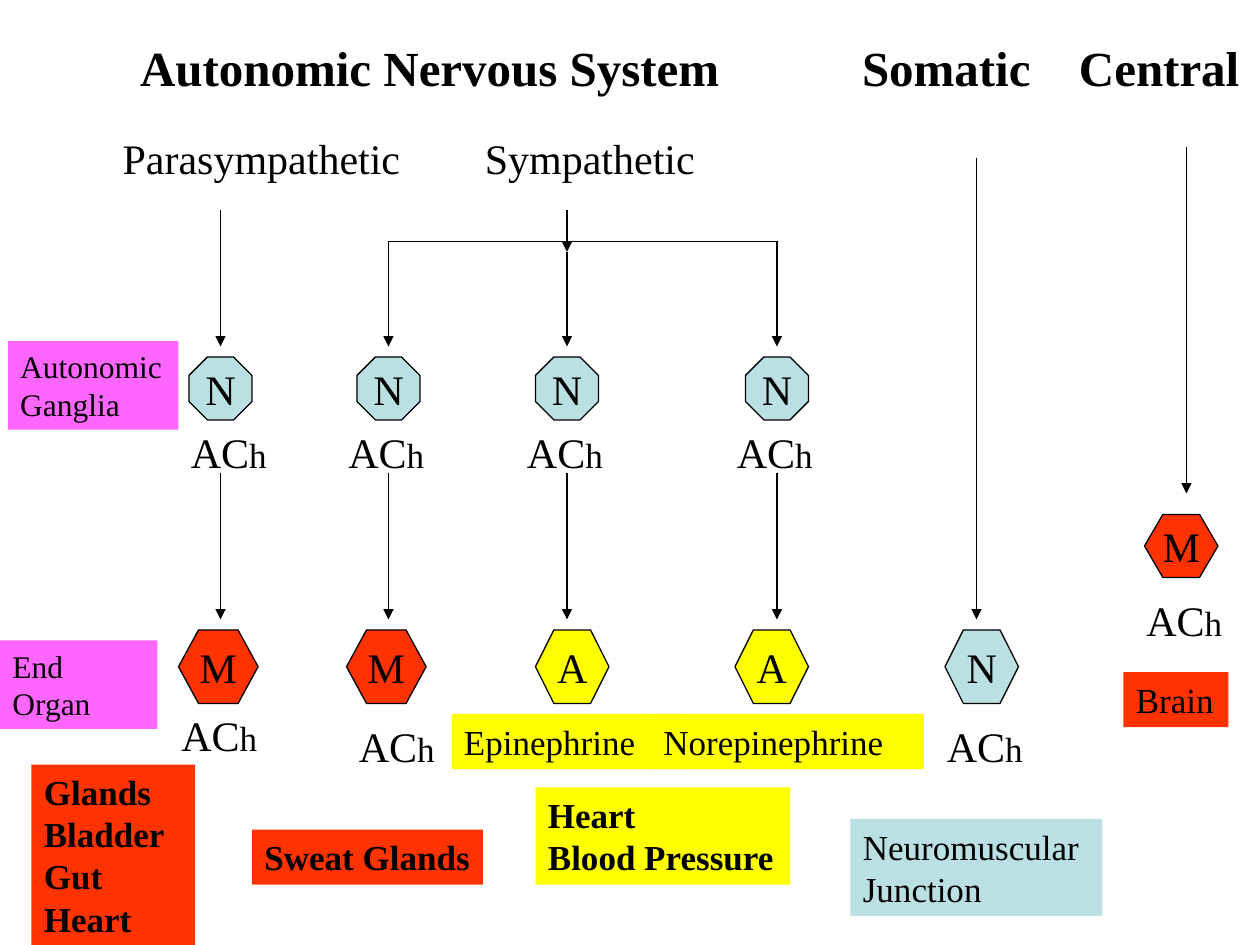
from dataclasses import dataclass
from typing import Any

from lxml import etree
from pptx import Presentation
from pptx import util as u
from pptx.dml.color import RGBColor
from pptx.enum import shapes, text
from pptx.oxml.ns import qn


@dataclass(frozen=True)
class Theme:
    font: str = "Times New Roman"
    ink: str = "000000"
    blue: str = "BBE0E3"
    red: str = "FF3300"
    gold: str = "FFFF00"
    pink: str = "FF66FF"
    head: float = 28
    main: float = 24
    note: float = 20
    small: float = 18
    rule: float = 0.75


@dataclass(frozen=True)
class Arrow:
    x: float
    top: float
    end: float


@dataclass(frozen=True)
class Node:
    label: str
    x: float
    y: float
    w: float
    h: float
    fill: str
    adj: float
    kind: Any = shapes.MSO_SHAPE.HEXAGON


@dataclass(frozen=True)
class Panel:
    words: str
    x: float
    y: float
    w: float
    h: float
    fill: str
    size: float
    bold: bool = False


T = Theme()
PARA, SWEAT, EPI, NOR, SOMA, BRAIN = 126, 222, 324, 444, 558, 678
GANGLIA = (PARA, SWEAT, EPI, NOR)
BAR = 138

ARROWS = [
    Arrow(PARA, 120, 198),
    Arrow(EPI, 120, 144),
    Arrow(EPI, 144, 198),
    *(Arrow(x, BAR, 198) for x in (SWEAT, NOR)),
    *(Arrow(x, 270, 354) for x in GANGLIA),
    Arrow(SOMA, 90, 354),
    Arrow(BRAIN, 84, 282),
]

NODES = [
    *(Node("N", x - 18, 204, 36, 36, T.blue, 0.293, shapes.MSO_SHAPE.OCTAGON)
      for x in GANGLIA),
    *(Node("M", x - 24, 360, 45.5, 42, T.red, 0.272) for x in (PARA, SWEAT)),
    Node("A", 306, 360, 42, 42, T.gold, 0.25),
    Node("A", 420, 360, 42, 42, T.gold, 0.25),
    Node("N", 540, 360, 42, 42, T.blue, 0.25),
    Node("M", 654, 294, 42, 36, T.red, 0.292),
]

ACH = [(102, 240), (192, 240), (294, 240), (414, 240),
       (96.5, 402), (198, 408), (534, 408), (648, 336)]

PANELS = [
    Panel("Epinephrine", 258, 408, 132, 31.5, T.gold, T.note),
    Panel("Norepinephrine", 372, 408, 156, 31.5, T.gold, T.note),
    Panel("Sweat Glands", 144, 474, 132, 31.5, T.red, T.note, True),
    Panel("Glands\nBladder\nGut\nHeart", 18, 437, 93.5, 103.5, T.red, T.note, True),
    Panel("Heart\nBlood Pressure", 306, 450, 145.5, 55.5, T.gold, T.note, True),
    Panel("Neuromuscular Junction", 486, 468, 144, 55.5, T.blue, T.note),
    Panel("Brain", 642, 384, 60, 31.5, T.red, T.note),
    Panel("Autonomic\vGanglia", 4.5, 195, 97.5, 50.5, T.pink, T.small),
    Panel("End Organ", 0, 366, 90, 50.5, T.pink, T.small),
]


def write(frame: Any, words: str, *, size: float, bold: bool = False,
          tail: str = "", mid: bool = False, wrap: bool = True,
          tabs: tuple[float, ...] = ()) -> None:
    frame.word_wrap = wrap
    frame.vertical_anchor = (text.MSO_ANCHOR.MIDDLE if mid
                             else text.MSO_ANCHOR.TOP)
    for i, line in enumerate(words.split("\n")):
        par = frame.add_paragraph() if i else frame.paragraphs[0]
        par.text = line
        par.alignment = text.PP_ALIGN.CENTER if mid else text.PP_ALIGN.LEFT
        if tabs:
            stops = etree.SubElement(par._p.get_or_add_pPr(), qn("a:tabLst"))
            for pos in tabs:
                etree.SubElement(stops, qn("a:tab"), pos=str(u.Pt(pos)), algn="l")
        if tail:
            par.add_run().text = tail
        for run in par.runs:
            run.font.name = T.font
            run.font.size = u.Pt(T.note if tail and run.text == tail else size)
            run.font.bold = bold
            run.font.color.rgb = RGBColor.from_string(T.ink)


def label(slide: Any, words: str, x: float, y: float, w: float, h: float,
          **style: Any) -> None:
    box = slide.shapes.add_textbox(*map(u.Pt, (x, y, w, h)))
    write(box.text_frame, words, **style)


def block(slide: Any, item: Node | Panel, kind: Any) -> Any:
    shape = slide.shapes.add_shape(
        kind, *map(u.Pt, (item.x, item.y, item.w, item.h)))
    shape.shadow.inherit = False
    shape.fill.solid()
    shape.fill.fore_color.rgb = RGBColor.from_string(item.fill)
    return shape


def node(slide: Any, item: Node) -> None:
    shape = block(slide, item, item.kind)
    shape.adjustments[0] = item.adj
    shape.line.color.rgb = RGBColor.from_string(T.ink)
    shape.line.width = u.Pt(T.rule)
    write(shape.text_frame, item.label, size=T.main, mid=True, wrap=False)


def panel(slide: Any, item: Panel) -> None:
    shape = block(slide, item, shapes.MSO_SHAPE.RECTANGLE)
    shape.line.fill.background()
    write(shape.text_frame, item.words, size=item.size, bold=item.bold)


def rule(slide: Any, x: float, y: float, right: float, low: float,
         tip: bool = False) -> None:
    line = slide.shapes.add_connector(
        shapes.MSO_CONNECTOR.STRAIGHT, *map(u.Pt, (x, y, right, low)))
    line.line.color.rgb = RGBColor.from_string(T.ink)
    line.line.width = u.Pt(T.rule)
    props = line.element.spPr
    if tip:
        etree.SubElement(props.find(qn("a:ln")), qn("a:tailEnd"), type="triangle")
    etree.SubElement(props, qn("a:effectLst"))


def main() -> None:
    deck = Presentation()
    deck.slide_width, deck.slide_height = u.Pt(720), u.Pt(540)
    slide = deck.slides.add_slide(deck.slide_layouts[6])

    for item in ARROWS:
        rule(slide, item.x, item.top, item.x, item.end, tip=True)
    rule(slide, SWEAT, BAR, NOR, BAR)

    label(slide, "\tAutonomic Nervous System\tSomatic\tCentral", 12, 18, 708, 41,
          size=T.head, bold=True, tabs=(61, 473.5, 597.5))
    label(slide, "\tParasympathetic\tSympathetic", 18, 72, 414, 36,
          size=T.main, tabs=(45, 252))

    for item in NODES:
        node(slide, item)
    for x, y in ACH:
        label(slide, "AC", x, y, 60, 36, size=T.main, tail="h")
    for item in PANELS:
        panel(slide, item)

    deck.save("out.pptx")


if __name__ == "__main__":
    main()
